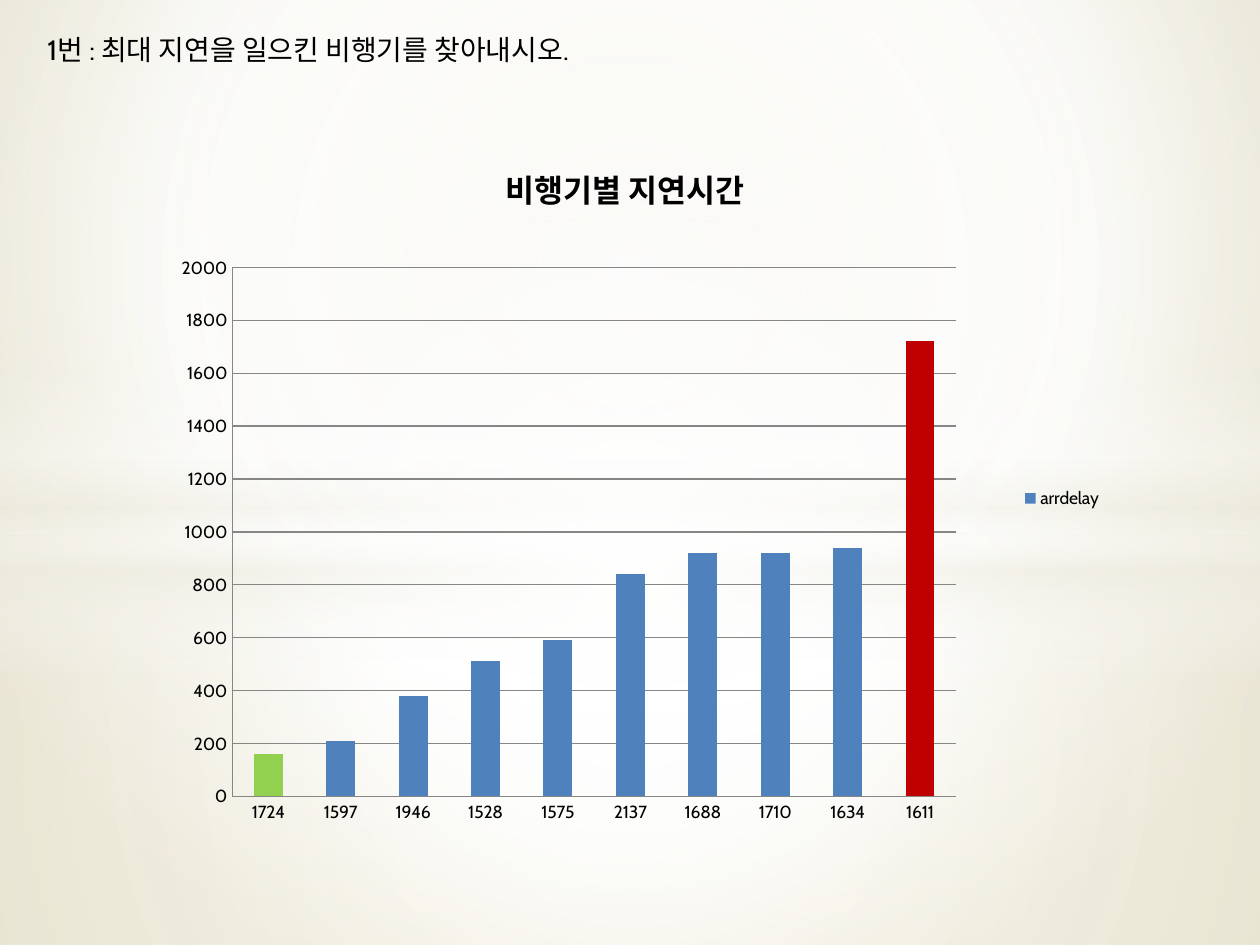
from lxml import etree
from pptx import Presentation
from pptx.chart.data import CategoryChartData
from pptx.dml.color import RGBColor
from pptx.enum.chart import XL_CHART_TYPE, XL_LEGEND_POSITION, XL_TICK_MARK
from pptx.enum.shapes import MSO_SHAPE
from pptx.enum.text import MSO_AUTO_SIZE
from pptx.oxml import parse_xml
from pptx.oxml.ns import qn
from pptx.util import Emu, Pt

COLUMN = XL_CHART_TYPE.COLUMN_CLUSTERED
RIGHT = XL_LEGEND_POSITION.RIGHT
NO_TICK = XL_TICK_MARK.NONE
RECT = MSO_SHAPE.RECTANGLE
OVAL = MSO_SHAPE.OVAL
GROW = MSO_AUTO_SIZE.SHAPE_TO_FIT_TEXT

SCALE = 914400 / 126
WIDE, HIGH = 1260, 945
FONT = "Cabin"
COLORS = {
    "white": "FFFFFF", "cream": "EEECE1", "sand": "E7E4D4", "tan": "D5CC9F",
    "black": "000000", "line": "868686",
    "bar": "4F81BD", "least": "92D050", "most": "C00000",
}
DELAYS = {
    "1724": 160, "1597": 210, "1946": 380, "1528": 510, "1575": 590,
    "2137": 840, "1688": 920, "1710": 920, "1634": 940, "1611": 1720,
}
MID = (50, 50, 50, 50)

# Soft layers over the background: shape, box, stops, focus (None is linear)
LAYERS = [
    (RECT, (0, 533, WIDE, 412),
     [(0, "white", 91), (37, "white", 76), (100, "cream", 79)], MID),
    (RECT, (0, 0, WIDE, 533),
     [(0, "white", 89), (48, "white", 62), (100, "cream", 79)], MID),
    (RECT, (0, 365, WIDE, 315),
     [(0, "white", 0), (29, "white", 30), (45, "cream", 40),
      (55, "white", 26), (65, "cream", 60), (100, "white", 0)], None),
    (OVAL, (0, 220, WIDE, 703),
     [(0, "white", 100), (54, "white", 0)], MID),
]


def px(*nums):
    return [Emu(round(n * SCALE)) for n in nums]


def rgb(name):
    return RGBColor.from_string(COLORS[name])


def grade(fill, stops, focus):
    """Put a gradient with transparent stops in place of a fill element."""
    ns = "http://schemas.openxmlformats.org/drawingml/2006/main"
    marks = "".join(
        f'<a:gs pos="{pos * 1000}"><a:srgbClr val="{COLORS[name]}">'
        f'<a:alpha val="{alpha * 1000}"/></a:srgbClr></a:gs>'
        for pos, name, alpha in stops)
    if focus:
        sides = " ".join(f'{s}="{v * 1000}"' for s, v in zip("ltrb", focus))
        way = f'<a:path path="circle"><a:fillToRect {sides}/></a:path>'
    else:
        way = '<a:lin ang="5400000" scaled="0"/>'
    new = parse_xml(f'<a:gradFill xmlns:a="{ns}" rotWithShape="1">'
                    f'<a:gsLst>{marks}</a:gsLst>{way}</a:gradFill>')
    fill.getparent().replace(fill, new)


def add_back(slide):
    slide.background.fill.solid()
    fill = slide.element.xpath("p:cSld/p:bg/p:bgPr/a:solidFill")[0]
    stops = [(0, "sand", 100), (60, "white", 100), (100, "tan", 100)]
    grade(fill, stops, (20, 10, 20, 60))


def add_layer(slide, kind, box, stops, focus):
    shape = slide.shapes.add_shape(kind, *px(*box))
    shape.shadow.inherit = False
    shape.line.fill.background()
    shape.fill.solid()
    grade(shape.element.xpath("p:spPr/a:solidFill")[0], stops, focus)


def style(font, size, bold=False):
    font.name, font.size, font.bold = FONT, Pt(size), bold
    font.color.rgb = rgb("black")


def place(owner, after, **spots):
    """Give a chart part a fixed place, as shares of the chart."""
    for old in owner.findall(qn("c:layout")):
        owner.remove(old)
    layout = etree.Element(qn("c:layout"))
    manual = etree.SubElement(layout, qn("c:manualLayout"))
    if "w" in spots:
        etree.SubElement(manual, qn("c:layoutTarget")).set("val", "inner")
    for mode in ("xMode", "yMode"):
        etree.SubElement(manual, qn(f"c:{mode}")).set("val", "edge")
    for key, val in spots.items():
        etree.SubElement(manual, qn(f"c:{key}")).set("val", str(val))
    owner.insert(after, layout)


def add_chart(slide):
    data = CategoryChartData()
    data.categories = list(DELAYS)
    data.add_series("arrdelay", list(DELAYS.values()))
    chart = slide.shapes.add_chart(COLUMN, *px(123, 126, 992, 745), data).chart
    style(chart.font, 10)

    # Title and legend
    chart.has_title = True
    title = chart.chart_title
    run = title.text_frame.paragraphs[0].add_run()
    run.text = "비행기별 지연시간"
    style(run.font, 18, True)
    title.include_in_layout = False
    place(title.element, 1, x=0.38, y=0.04)
    chart.has_legend = True
    chart.legend.position = RIGHT
    chart.legend.include_in_layout = False

    # Axes
    value = chart.value_axis
    value.minimum_scale, value.maximum_scale, value.major_unit = 0, 2000, 200
    value.has_major_gridlines = True
    for axis in (chart.category_axis, value):
        axis.major_tick_mark = axis.minor_tick_mark = NO_TICK
    for part in (chart.category_axis, value, value.major_gridlines):
        part.format.line.color.rgb = rgb("line")
        part.format.line.width = Pt(0.75)

    # Bars, with the least and the greatest delay marked
    plot = chart.plots[0]
    plot.gap_width = 150
    plot.vary_by_categories = False
    bars = plot.series[0]
    last = len(DELAYS) - 1
    parts = [(bars, "bar"), (bars.points[0], "least"),
             (bars.points[last], "most")]
    for part, name in parts:
        part.format.fill.solid()
        part.format.fill.fore_color.rgb = rgb(name)
    area = chart.element.xpath("c:chart/c:plotArea")[0]
    place(area, 0, x=0.11, y=0.19, w=0.73, h=0.71)


def add_text(slide, box, text):
    frame = slide.shapes.add_textbox(*px(*box)).text_frame
    frame.word_wrap = False
    frame.auto_size = GROW
    run = frame.paragraphs[0].add_run()
    run.text = text
    style(run.font, 16)


def main():
    deck = Presentation()
    deck.slide_width, deck.slide_height = px(WIDE, HIGH)
    slide = deck.slides.add_slide(deck.slide_layouts[6])
    add_back(slide)
    for layer in LAYERS:
        add_layer(slide, *layer)
    add_chart(slide)
    add_text(slide, (35, 26, 621, 47),
             "1번 : 최대 지연을 일으킨 비행기를 찾아내시오.")
    deck.save("out.pptx")


if __name__ == "__main__":
    main()
